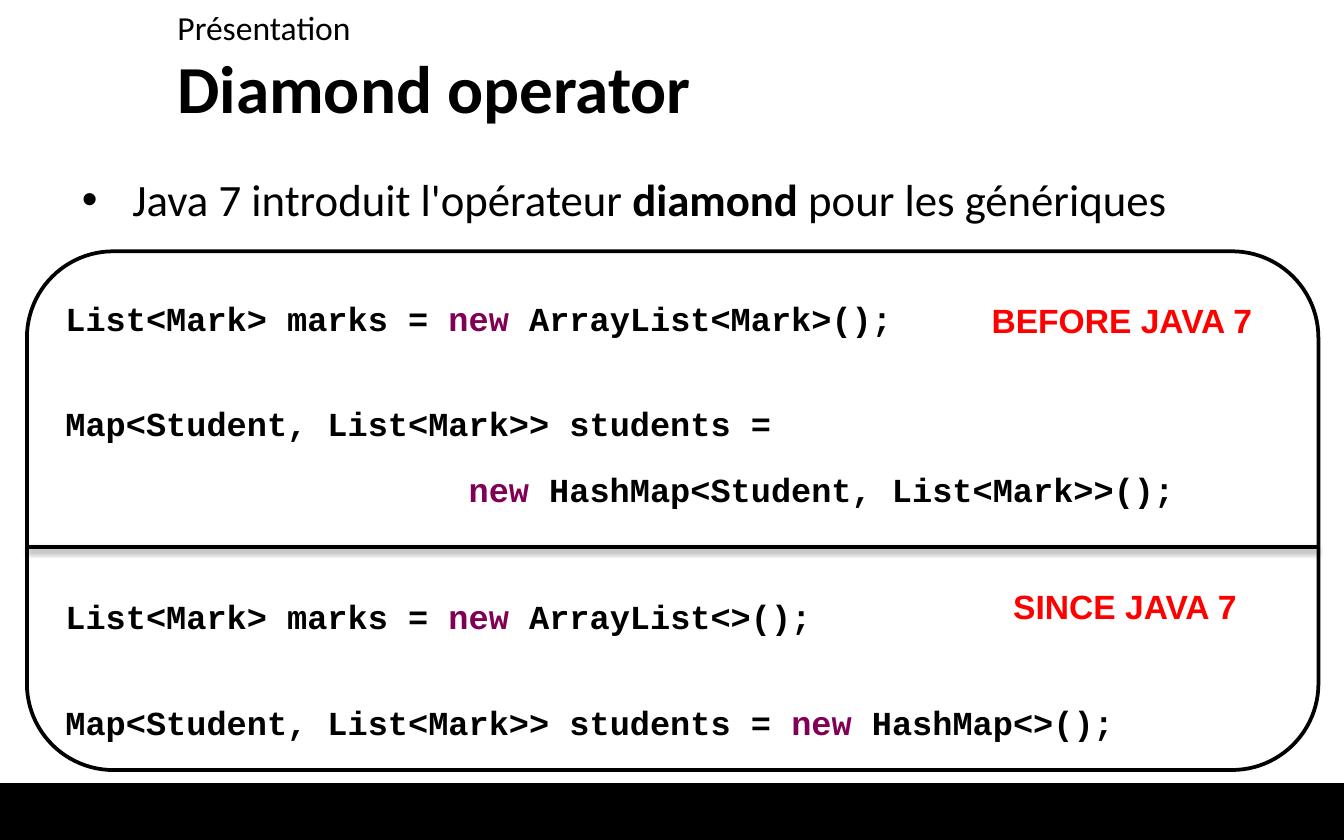
from lxml import etree
from pptx import Presentation
from pptx import util as u
from pptx.dml.color import RGBColor
from pptx.enum import shapes, text
from pptx.oxml import parse_xml
from pptx.oxml.ns import nsdecls, qn

BLACK, WHITE, RED, PURPLE = "000000", "FFFFFF", "FF0000", "7F0055"


def color(value):
    return RGBColor.from_string(value)


def write(para, content, font="Calibri", size=18, bold=False, fill=BLACK):
    """Append one formatted span to a paragraph."""
    span = para.add_run()
    span.text = content
    span.font.name = font
    span.font.size = u.Pt(size)
    span.font.bold = bold
    span.font.color.rgb = color(fill)


deck = Presentation()
deck.slide_width, deck.slide_height = u.Inches(10), u.Inches(6.25)
page = deck.slides.add_slide(deck.slide_layouts.get_by_name("Two Content"))

# Title, bullet and section name
title, body, section = page.placeholders[0], page.placeholders[1], page.placeholders[2]
for box, left, top, width, height in (
    (title, 1.22, 0.37, 8.5, 0.55),
    (body, 0.51, 1.23, 9.06, 4.63),
    (section, 1.22, 0, 8.51, 0.37),
):
    box.left, box.top = u.Inches(left), u.Inches(top)
    box.width, box.height = u.Inches(width), u.Inches(height)
    box.text_frame.auto_size = text.MSO_AUTO_SIZE.NONE
    box.text_frame.paragraphs[0].alignment = text.PP_ALIGN.LEFT

write(title.text_frame.paragraphs[0], "Diamond operator", size=36, bold=True)
para = body.text_frame.paragraphs[0]
write(para, "Java 7 introduit l'opérateur ", size=24)
write(para, "diamond", size=24, bold=True)
write(para, " pour les génériques", size=24)

para = section.text_frame.paragraphs[0]
write(para, "Présentation")
properties = para._p.get_or_add_pPr()
properties.set("marL", "0")
properties.set("indent", "0")
etree.SubElement(properties, qn("a:buNone"))

# Footer band and code panel
footer = page.shapes.add_shape(
    shapes.MSO_SHAPE.RECTANGLE, u.Inches(0), u.Inches(5.83), u.Inches(10), u.Inches(0.42))
panel = page.shapes.add_shape(
    shapes.MSO_SHAPE.ROUNDED_RECTANGLE, u.Inches(0.2), u.Inches(1.87), u.Inches(9.61), u.Inches(3.86))
for box, fill, weight in ((footer, BLACK, 0.75), (panel, WHITE, 2)):
    box.shadow.inherit = False
    box.fill.solid()
    box.fill.fore_color.rgb = color(fill)
    box.line.color.rgb = color(BLACK)
    box.line.width = u.Pt(weight)

# Each code line: space before in points, indent in inches, text around "new"
code_lines = [
    (0, 0, "List<Mark> marks = ", "ArrayList<Mark>();"),
    (34.4, 0, "Map<Student, List<Mark>> students =", ""),
    (13.9, 3, "", "HashMap<Student, List<Mark>>();"),
    (46.6, 0, "List<Mark> marks = ", "ArrayList<>();"),
    (34.8, 0, "Map<Student, List<Mark>> students = ", "HashMap<>();"),
]
frame = panel.text_frame
frame.word_wrap = True
frame.vertical_anchor = text.MSO_ANCHOR.TOP
frame.margin_top = u.Inches(0.16)
for number, (gap, indent, declaration, creation) in enumerate(code_lines):
    para = frame.add_paragraph() if number else frame.paragraphs[0]
    para.alignment = text.PP_ALIGN.LEFT
    para.space_before = u.Pt(gap)
    para._p.get_or_add_pPr().set("marL", str(u.Inches(indent)))
    if declaration:
        write(para, declaration, font="Courier New", bold=True)
    if creation:
        write(para, "new ", font="Courier New", bold=True, fill=PURPLE)
        write(para, creation, font="Courier New", bold=True)

# Divider with its soft shadow
divider = page.shapes.add_connector(
    shapes.MSO_CONNECTOR.STRAIGHT, u.Inches(0.2), u.Inches(4.07), u.Inches(9.8), u.Inches(4.07))
divider.line.color.rgb = color(BLACK)
divider.line.width = u.Pt(2)
divider._element.spPr.append(parse_xml(
    f'<a:effectLst {nsdecls("a")}>'
    f'<a:outerShdw blurRad="{u.Pt(3.1)}" dist="{u.Pt(1.6)}" dir="5400000" rotWithShape="0">'
    f'<a:srgbClr val="{BLACK}"><a:alpha val="38000"/></a:srgbClr>'
    '</a:outerShdw></a:effectLst>'))

# Version labels
for label, left, top, width in (
    ("BEFORE JAVA 7", 7.28, 2.18, 2.16),
    ("SINCE JAVA 7", 7.44, 4.31, 1.88),
):
    box = page.shapes.add_textbox(u.Inches(left), u.Inches(top), u.Inches(width), u.Inches(0.4))
    box.text_frame.word_wrap = False
    box.text_frame.auto_size = text.MSO_AUTO_SIZE.SHAPE_TO_FIT_TEXT
    write(box.text_frame.paragraphs[0], label, font="Arial", bold=True, fill=RED)

deck.save("out.pptx")
